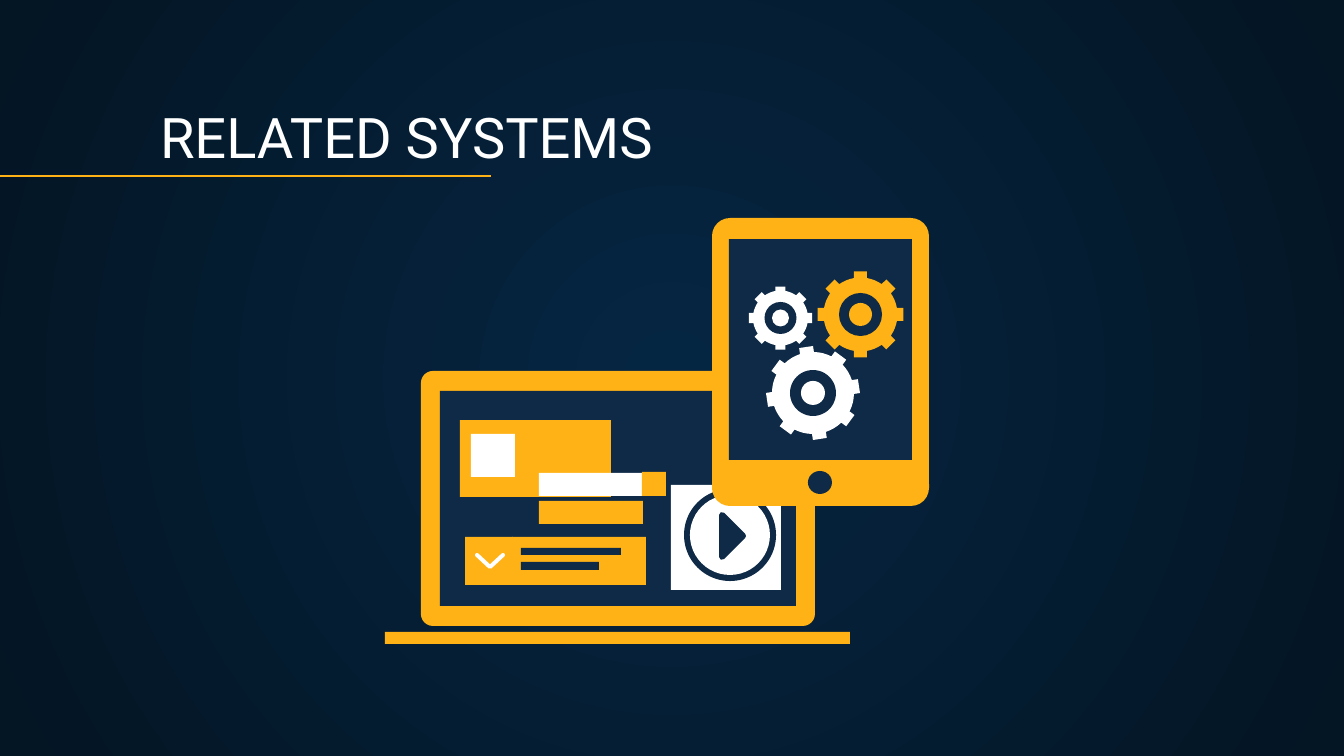
from math import asin, atan2, cos, hypot, radians, sin

from lxml.etree import SubElement
from pptx import Presentation
from pptx.dml.color import RGBColor as Rgb
from pptx.enum.shapes import MSO_CONNECTOR as Connector, MSO_SHAPE as Shape
from pptx.enum.text import MSO_ANCHOR as Anchor
from pptx.oxml.ns import qn
from pptx.util import Pt

PX = 914400 / 134.4
COLORS = {
    "amber": "FFB215",
    "navy": "0E2A47",
    "white": "FFFFFF",
    "glow": "052643",
    "edge": "041523",
}
RGB = {name: Rgb.from_string(code) for name, code in COLORS.items()}

deck = Presentation()
deck.slide_width = round(1344 * PX)
deck.slide_height = round(756 * PX)
page = deck.slides.add_slide(deck.slide_layouts[6])


def add_block(kind, left, top, width, height, color, radius=0):
    block = page.shapes.add_shape(kind, *(round(n * PX) for n in (left, top, width, height)))
    block.shadow.inherit = False
    block.fill.solid()
    block.fill.fore_color.rgb = RGB[color]
    block.line.fill.background()
    if radius:
        block.adjustments[0] = radius / min(width, height)
    return block


def add_outline(points, color, stroke=0, closed=True):
    corners = [(round(x * PX), round(y * PX)) for x, y in points]
    builder = page.shapes.build_freeform(*corners[0], scale=1.0)
    builder.add_line_segments(corners[1:], close=closed)
    outline = builder.convert_to_shape()
    outline.shadow.inherit = False
    if closed:
        outline.fill.solid()
        outline.fill.fore_color.rgb = RGB[color]
    else:
        outline.fill.background()
    if stroke:
        outline.line.color.rgb = RGB[color]
        outline.line.width = round(stroke * PX)
        pen = outline.line._get_or_add_ln()
        pen.set("cap", "rnd")
        SubElement(pen, qn("a:round"))
    else:
        outline.line.fill.background()


backdrop = page.background.fill
backdrop.gradient()
for stop, name in zip(backdrop.gradient_stops, ("glow", "edge")):
    stop.color.rgb = RGB[name]
gradient = page._element.find(".//" + qn("a:gradFill"))
for direction in gradient.findall(qn("a:lin")):
    gradient.remove(direction)
circle = SubElement(gradient, qn("a:path"), path="circle")
SubElement(circle, qn("a:fillToRect"), l="50000", t="50000", r="50000", b="50000")

title = page.shapes.add_textbox(*(round(n * PX) for n in (147, 94, 1152, 89)))
frame = title.text_frame
frame.word_wrap = True
frame.vertical_anchor = Anchor.BOTTOM
frame.margin_left = frame.margin_right = frame.margin_top = frame.margin_bottom = round(13 * PX)
para = frame.paragraphs[0]
para.text = "RELATED SYSTEMS"
para.font.name = "Roboto"
para.font.size = Pt(30)
para.font.color.rgb = RGB["white"]

rule = page.shapes.add_connector(Connector.STRAIGHT, 0, round(176 * PX), round(491 * PX), round(176 * PX))
rule.line.color.rgb = RGB["amber"]
rule.line.width = Pt(0.75)
SubElement(rule._element.spPr, qn("a:effectLst"))

add_block(Shape.ROUNDED_RECTANGLE, 421, 371, 394, 255, "amber", 12)
laptop_parts = [
    (440, 391, 356, 215, "navy"),
    (385, 632, 465, 12, "amber"),
    (460, 420, 151, 77, "amber"),
    (471, 434, 44, 43, "white"),
    (512, 537, 134, 48, "amber"),
    (521, 548, 100, 7, "navy"),
    (521, 562, 78, 8, "navy"),
    (465, 537, 48, 48, "amber"),
    (539, 501, 104, 23, "amber"),
    (539, 473, 103, 23, "white"),
    (642, 472, 24, 24, "amber"),
    (671, 485, 110, 105, "white"),
]
for part in laptop_parts:
    add_block(Shape.RECTANGLE, *part)
add_outline([(477, 555), (490, 567), (503, 555)], "white", stroke=4, closed=False)

add_block(Shape.OVAL, 684, 489, 92, 92, "navy")
add_block(Shape.OVAL, 690, 495, 80, 80, "white")
add_outline([(722, 515), (743, 536), (722, 557)], "navy", stroke=6)

add_block(Shape.ROUNDED_RECTANGLE, 712, 218, 217, 288, "amber", 18)
add_block(Shape.RECTANGLE, 729, 239, 183, 221, "navy")
add_block(Shape.OVAL, 808, 471, 24, 23, "navy")

gears = [
    (860.5, 314.5, 43, 37, 21.5, 11.5, 6.5, 0, "amber"),
    (780.5, 318, 31.5, 27.5, 16, 8.5, 5, 0, "white"),
    (813, 393, 46.5, 41, 23, 12, 7, -8.5, "white"),
]
for x, y, tip, body, hole, hub, half, tilt, color in gears:
    tip_turn, body_turn = atan2(half, tip), asin(half / body)
    gap = radians(45) - 2 * body_turn
    polar = []
    for tooth in range(8):
        angle = radians(tilt + 45 * tooth)
        polar += [(hypot(tip, half), angle - tip_turn), (hypot(tip, half), angle + tip_turn)]
        polar += [(body, angle + body_turn + gap * step / 4) for step in range(5)]
    add_outline([(x + r * cos(a), y + r * sin(a)) for r, a in polar], color)
    for radius, shade in ((hole, "navy"), (hub, color)):
        add_block(Shape.OVAL, x - radius, y - radius, 2 * radius, 2 * radius, shade)

deck.save("out.pptx")
